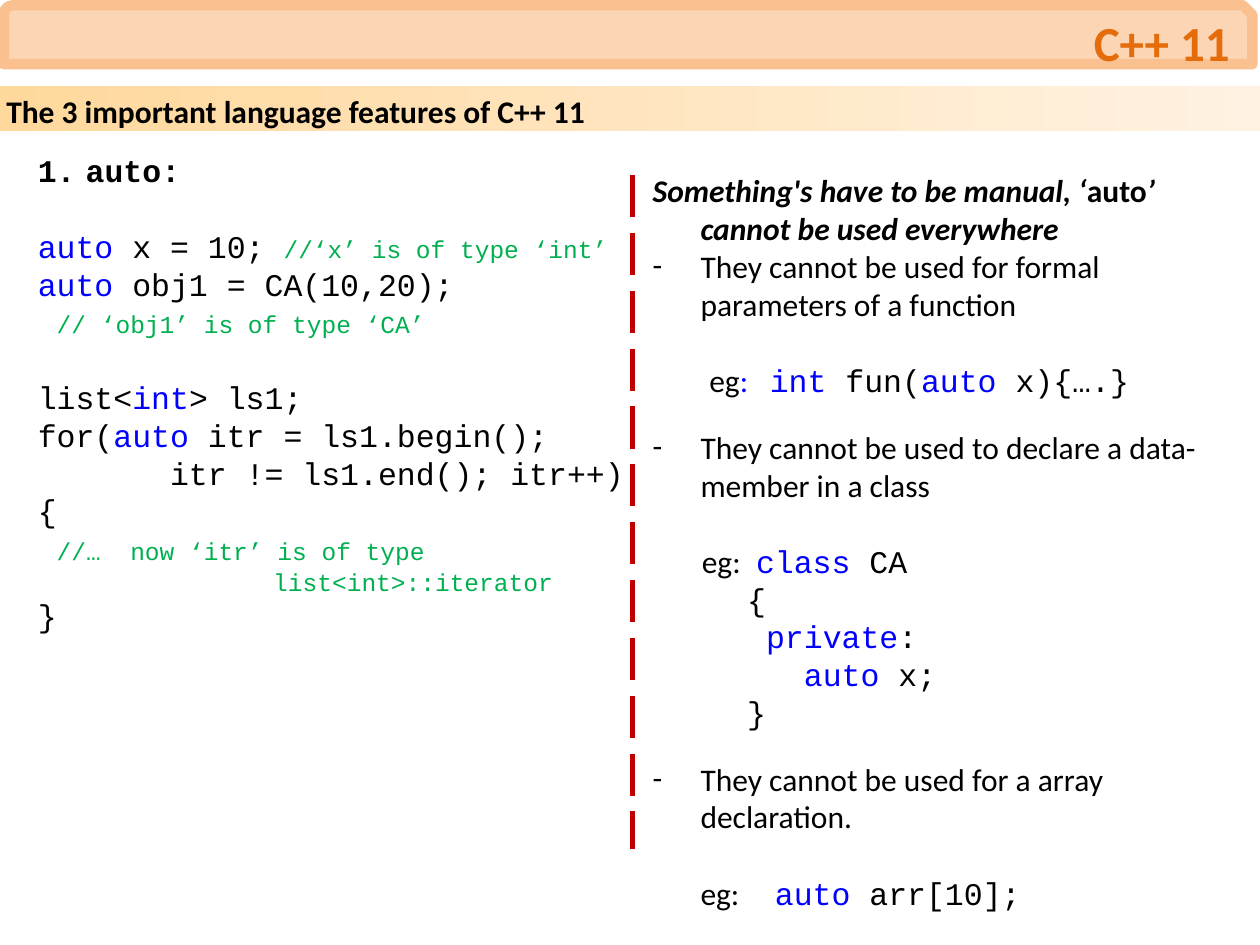
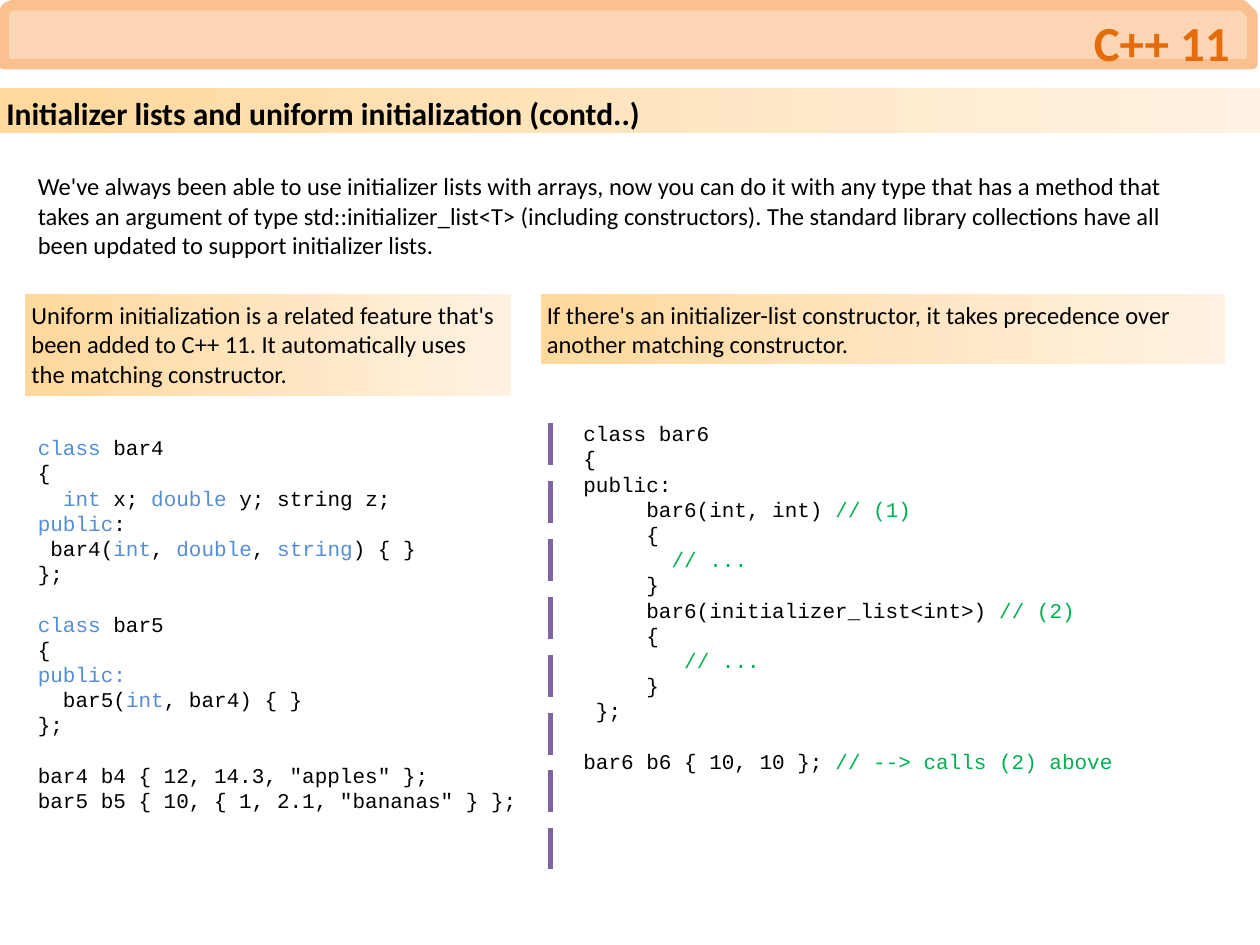
from dataclasses import dataclass

from lxml import etree
from pptx import Presentation
from pptx.dml.color import RGBColor
from pptx.enum.dml import MSO_LINE
from pptx.enum.shapes import MSO_CONNECTOR, MSO_SHAPE
from pptx.enum.text import MSO_ANCHOR, MSO_AUTO_SIZE, PP_ALIGN
from pptx.oxml.ns import qn
from pptx.util import Inches, Pt

TWO_CONTENT_LAYOUT = 3
TOP, MIDDLE = MSO_ANCHOR.TOP, MSO_ANCHOR.MIDDLE
LEFT, RIGHT = PP_ALIGN.LEFT, PP_ALIGN.RIGHT
RECTANGLE = MSO_SHAPE.RECTANGLE
HEADER_SHAPE = MSO_SHAPE.SNIP_ROUND_RECTANGLE
STRAIGHT = MSO_CONNECTOR.STRAIGHT
LONG_DASH = MSO_LINE.LONG_DASH

BLACK, BLUE, SKY, GREEN = "000000", "0000FF", "558ED5", "00B050"
ORANGE, PEACH, PEACH_EDGE = "E46C0A", "FCD5B5", "FAC090"
GRADIENT = ("FFD89C", "FFF2E2")
RED, PURPLE = "C00000", "8064A2"
SANS, MONO = "Calibri", "Courier New"
HANG = 0.38


@dataclass(frozen=True)
class Style:
    size: int
    font: str = SANS
    color: str = BLACK
    bold: bool = False
    italic: bool = False


TITLE = Style(28, color=ORANGE, bold=True)
HEADING = Style(18, bold=True)
EMPHASIS = Style(18, bold=True, italic=True)
BODY = Style(18)
BODY_BLUE = Style(18, color=BLUE)
NOTE = Style(14)
CODE = Style(18, MONO)
CODE_HEADING = Style(18, MONO, bold=True)
KEYWORD = Style(18, MONO, BLUE)
COMMENT = Style(14, MONO, GREEN)
SMALL_CODE = Style(12, MONO)
SMALL_KEYWORD = Style(12, MONO, SKY)
SMALL_COMMENT = Style(12, MONO, GREEN)


@dataclass
class Line:
    runs: list
    gap: float = 0
    margin: float = 0
    start: float = 0
    bullet: str = ""


def rgb(color):
    return RGBColor.from_string(color)


def place(shape, left, top, width, height):
    shape.left, shape.top = Inches(left), Inches(top)
    shape.width, shape.height = Inches(width), Inches(height)


def set_bullet(paragraph, bullet, font):
    properties = paragraph._p.get_or_add_pPr()
    if not bullet:
        etree.SubElement(properties, qn("a:buNone"))
        return
    etree.SubElement(properties, qn("a:buFont"), typeface=font)
    if bullet == "1.":
        etree.SubElement(properties, qn("a:buAutoNum"), type="arabicPeriod")
    else:
        etree.SubElement(properties, qn("a:buChar"), char=bullet)


def write_lines(shape, lines, anchor=TOP, inset=0.05, alignment=LEFT):
    frame = shape.text_frame
    frame.word_wrap = True
    frame.auto_size = MSO_AUTO_SIZE.NONE
    frame.vertical_anchor = anchor
    frame.margin_left = frame.margin_right = Inches(inset)
    frame.margin_top = Inches(inset)
    frame.margin_bottom = 0
    for index, line in enumerate(lines):
        paragraph = frame.paragraphs[0] if index == 0 else frame.add_paragraph()
        paragraph.alignment = alignment
        paragraph.space_before = Pt(line.gap)
        properties = paragraph._p.get_or_add_pPr()
        properties.set("marL", str(Inches(line.margin)))
        properties.set("indent", str(Inches(line.start - line.margin)))
        set_bullet(paragraph, line.bullet, line.runs[0][1].font)
        for text, style in line.runs:
            run = paragraph.add_run()
            run.text = text
            run.font.name = style.font
            run.font.size = Pt(style.size)
            run.font.bold = style.bold
            run.font.italic = style.italic
            run.font.color.rgb = rgb(style.color)


def add_box(slide, shape_type, left, top, width, height):
    shape = slide.shapes.add_shape(
        shape_type, Inches(left), Inches(top), Inches(width), Inches(height))
    shape.shadow.inherit = False
    return shape


def add_header(slide):
    band = add_box(slide, HEADER_SHAPE, 0.03, 0.04, 9.91, 0.47)
    band.fill.solid()
    band.fill.fore_color.rgb = rgb(PEACH)
    band.line.color.rgb = rgb(PEACH_EDGE)
    band.line.width = Pt(6)
    slide.shapes._spTree.insert(2, band._element)
    title = slide.shapes.title
    place(title, 0.15, 0.06, 9.66, 0.49)
    write_lines(title, [Line([("C++ 11", TITLE)])], MIDDLE, alignment=RIGHT)


def add_gradient_text(slide, text, style, left, top, width, height):
    band = add_box(slide, RECTANGLE, left, top, width, height)
    band.fill.gradient()
    band.fill.gradient_angle = 0
    for stop, color in zip(band.fill.gradient_stops, GRADIENT):
        stop.color.rgb = rgb(color)
    band.line.fill.background()
    write_lines(band, [Line([(text, style)])])


def add_divider(slide, x, top, bottom, color):
    divider = slide.shapes.add_connector(
        STRAIGHT, Inches(x), Inches(top), Inches(x), Inches(bottom))
    divider.line.color.rgb = rgb(color)
    divider.line.width = Pt(3)
    divider.line.dash_style = LONG_DASH
    etree.SubElement(divider._element.spPr, qn("a:effectLst"))


def add_slide(presentation, heading, heading_top):
    slide = presentation.slides.add_slide(
        presentation.slide_layouts[TWO_CONTENT_LAYOUT])
    add_header(slide)
    add_gradient_text(slide, heading, HEADING, 0, heading_top, 10, 0.36)
    return slide


def build_auto_slide(presentation):
    slide = add_slide(
        presentation, "The 3 important language features of C++ 11", 0.68)
    usage, limits = slide.placeholders[1], slide.placeholders[2]
    place(usage, 0.25, 1.15, 4.78, 3.93)
    write_lines(usage, [
        Line([("auto:", CODE_HEADING)], margin=HANG, bullet="1."),
        Line([("auto", KEYWORD), (" x = 10; ", CODE),
              ("//‘x’ is of type ‘int’", COMMENT)], gap=21.6),
        Line([("auto", KEYWORD), (" obj1 = CA(10,20);", CODE)]),
        Line([(" ", CODE), ("// ‘obj1’ is of type ‘CA’", COMMENT)]),
        Line([("list<", CODE), ("int", KEYWORD), ("> ls1;", CODE)], gap=21.6),
        Line([("for(", CODE), ("auto", KEYWORD),
              (" itr = ls1.begin();", CODE)]),
        Line([("       itr != ls1.end(); itr++)", CODE)]),
        Line([("{", CODE)]),
        Line([(" ", CODE), ("//…  now ‘itr’ is of type", COMMENT)]),
        Line([("                list<int>::iterator", COMMENT)]),
        Line([("}", CODE)]),
    ])
    place(limits, 5.13, 1.31, 4.62, 6.17)
    write_lines(limits, [
        Line([("Something's have to be manual, ‘", EMPHASIS),
              ("auto", HEADING),
              ("’ cannot be used everywhere", EMPHASIS)], margin=HANG),
        Line([("They cannot be used for formal parameters of a function",
               BODY)], margin=HANG, bullet="-"),
        Line([("eg", BODY), (":\t", BODY_BLUE), ("int ", KEYWORD),
              ("fun(", CODE), ("auto", KEYWORD), (" x){….}", CODE)],
             gap=22, margin=0.93, start=0.45),
        Line([("They cannot be used to declare a data-member in a class",
               BODY)], gap=16.5, margin=HANG, bullet="-"),
        Line([("eg:\t", BODY), ("class", KEYWORD), (" CA", CODE)],
             gap=22, margin=0.82, start=0.39),
        Line([("     {", CODE)]),
        Line([("      ", CODE), ("private", KEYWORD), (":", CODE)]),
        Line([("        ", CODE), ("auto", KEYWORD), (" x;", CODE)]),
        Line([("     }", CODE)]),
        Line([("They cannot be used for a array declaration.", BODY)],
             gap=16.5, margin=HANG, bullet="-"),
        Line([("eg:\t", BODY), ("auto", KEYWORD), (" arr[10];", CODE)],
             gap=22, margin=0.97, start=HANG),
    ])
    add_divider(slide, 5.02, 1.39, 6.74, RED)


def build_initializer_slide(presentation):
    slide = add_slide(
        presentation,
        "Initializer lists and uniform initialization (contd..)", 0.7)
    intro = slide.shapes.add_textbox(
        Inches(0.25), Inches(1.31), Inches(9.43), Inches(0.81))
    write_lines(intro, [Line([(
        "We've always been able to use initializer lists with arrays, now you "
        "can do it with any type that has a method that takes an argument of "
        "type std::initializer_list<T> (including constructors). The standard "
        "library collections have all been updated to support initializer "
        "lists.", NOTE)])])
    add_gradient_text(
        slide, "Uniform initialization is a related feature that's been added "
        "to C++ 11. It automatically uses the matching constructor.",
        NOTE, 0.2, 2.33, 3.86, 0.81)
    add_gradient_text(
        slide, "If there's an initializer-list constructor, it takes "
        "precedence over another matching constructor.",
        NOTE, 4.29, 2.33, 5.43, 0.56)
    code, key, comment = SMALL_CODE, SMALL_KEYWORD, SMALL_COMMENT
    uniform, precedence = slide.placeholders[1], slide.placeholders[2]
    place(uniform, 0.3, 3.49, 3.97, 2.92)
    write_lines(uniform, [
        Line([("class", key), (" bar4", code)]),
        Line([("{", code)]),
        Line([("  ", code), ("int", key), (" x; ", code), ("double", key),
              (" y; string z;", code)]),
        Line([("public", key), (":", code)]),
        Line([(" bar4(", code), ("int", key), (", ", code), ("double", key),
              (", ", code), ("string", key), (") { }", code)]),
        Line([("};", code)]),
        Line([("class", key), (" bar5", code)], gap=14.4),
        Line([("{", code)]),
        Line([("public:", key)]),
        Line([("  bar5(", code), ("int", key), (", bar4) { }", code)]),
        Line([("};", code)]),
        Line([('bar4 b4 { 12, 14.3, "apples" };', code)], gap=14.4),
        Line([('bar5 b5 { 10, { 1, 2.1, "bananas" } };', code)]),
    ], MIDDLE, inset=0)
    place(precedence, 4.63, 3.38, 4.6, 2.72)
    write_lines(precedence, [
        Line([("class bar6", code)]),
        Line([("{", code)]),
        Line([("public:", code)]),
        Line([("     bar6(int, int) ", code), ("// (1)", comment)]),
        Line([("     {", code)]),
        Line([("       ", code), ("// ...", comment)]),
        Line([("     }", code)]),
        Line([("     bar6(initializer_list<int>) ", code),
              ("// (2)", comment)]),
        Line([("     {", code)]),
        Line([("        ", code), ("// ...", comment)]),
        Line([("     }", code)]),
        Line([(" };", code)]),
        Line([("bar6 b6 { 10, 10 }; ", code),
              ("// --> calls (2) above", comment)], gap=14.4),
    ], MIDDLE, inset=0)
    add_divider(slide, 4.37, 3.36, 6.9, PURPLE)


def main():
    presentation = Presentation()
    presentation.slide_width = Inches(10)
    presentation.slide_height = Inches(7.5)
    build_auto_slide(presentation)
    build_initializer_slide(presentation)
    presentation.save("out.pptx")


if __name__ == "__main__":
    main()
